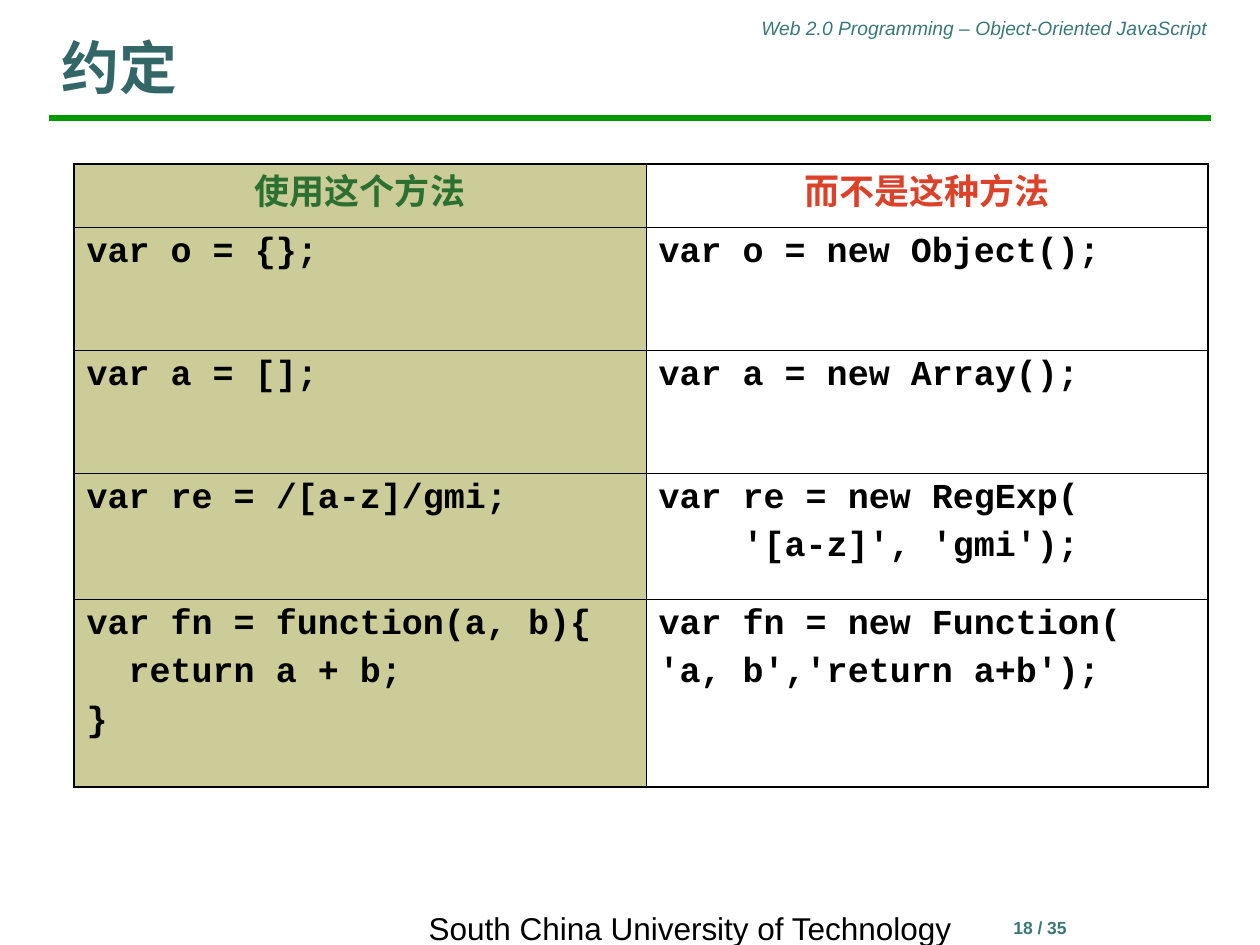
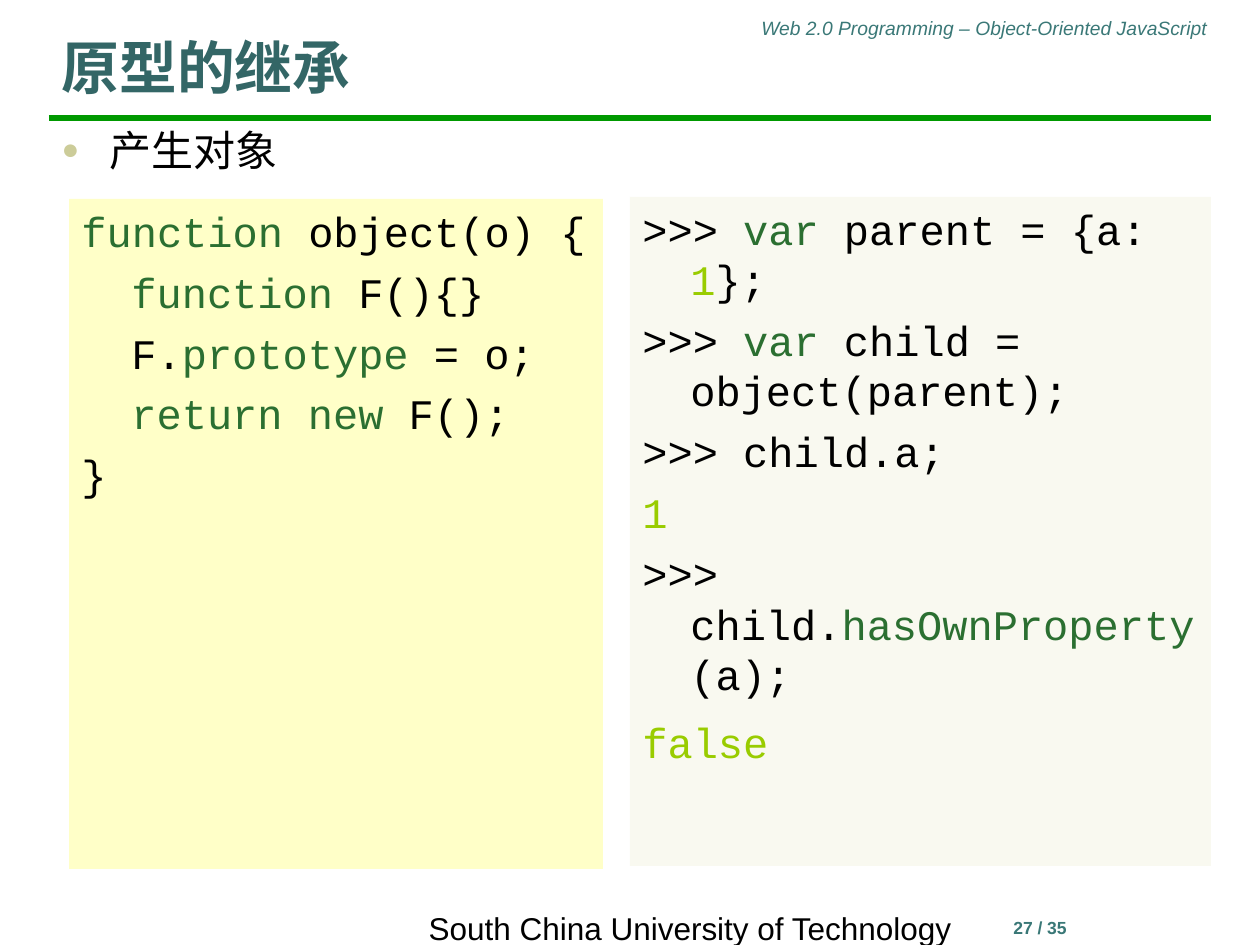
from lxml.etree import SubElement
from pptx import Presentation
from pptx.dml.color import RGBColor
from pptx.enum.shapes import MSO_CONNECTOR, MSO_SHAPE
from pptx.enum.text import MSO_ANCHOR, MSO_AUTO_SIZE, PP_ALIGN
from pptx.oxml.ns import qn
from pptx.util import Emu, Pt

EMU_PER_PX = 914400 / 126
SLIDE_SIZE = (1260, 945)
TITLE_ONLY, TITLE_AND_BODY = 5, 1
HANGING = 48
CODE_INDENT = 50
TABLE_CHARACTER = 21

HEADING_FONT, TEXT_FONT, CODE_FONT = "Montserrat", "Arial", "Courier New"
COLORS = {
    "title": "336666",
    "caption": "3A7877",
    "rule": "009900",
    "text": "000000",
    "keyword": "2B6F31",
    "value": "99CC00",
    "warning": "DC422A",
    "khaki": "CCCC99",
    "yellow": "FFFFC8",
    "ivory": "F9F9F0",
}

COLUMN_WIDTHS = (572, 562)
ROW_HEIGHTS = (63, 123, 123, 126, 188)
COLUMN_HEADINGS = (("使用这个方法", "keyword"), ("而不是这种方法", "warning"))
CODE_ROWS = (
    ([("var o = {};", 0)], [("var o = new Object();", 0)]),
    ([("var a = [];", 0)], [("var a = new Array();", 0)]),
    (
        [("var re = /[a-z]/gmi;", 0)],
        [("var re = new RegExp(", 0), ("'[a-z]', 'gmi');", 4)],
    ),
    (
        [("var fn = function(a, b){", 0), ("return a + b;", 2), ("}", 0)],
        [("var fn = new Function(", 0), ("'a, b','return a+b');", 0)],
    ),
)

FUNCTION_CODE = (
    (0, [("function", "keyword"), (" object(o) {", "text")]),
    (CODE_INDENT, [("function", "keyword"), (" F(){}", "text")]),
    (CODE_INDENT, [("F.", "text"), ("prototype", "keyword"), (" = o;", "text")]),
    (CODE_INDENT, [("return new", "keyword"), (" F();", "text")]),
    (0, [("}", "text")]),
)
CONSOLE_CODE = (
    (0, [(">>> ", "text"), ("var", "keyword"), (" parent = {a: ", "text"),
         ("1", "value"), ("};", "text")]),
    (0, [(">>> ", "text"), ("var", "keyword"), (" child = object(parent);", "text")]),
    (0, [(">>> child.a;", "text")]),
    (0, [("1", "value")]),
    (0, [(">>> child.", "text"), ("hasOwnProperty", "keyword"), ("(a);", "text")]),
    (0, [("false", "value")]),
)


def px(length):
    return Emu(round(length * EMU_PER_PX))


def box(*lengths):
    return [px(length) for length in lengths]


def color(name):
    return RGBColor.from_string(COLORS[name])


def format_paragraph(paragraph, size, font, color_name="text", bold=False,
                     italic=False, align=PP_ALIGN.LEFT, before=0):
    paragraph.alignment = align
    paragraph.space_before = Pt(before)
    paragraph.font.size = Pt(size)
    paragraph.font.bold = bold
    paragraph.font.italic = italic
    paragraph.font.color.rgb = color(color_name)
    paragraph.font.name = font
    properties = paragraph._p.pPr.find(qn("a:defRPr"))
    SubElement(properties, qn("a:ea")).set("typeface", font)


def indent_paragraph(paragraph, left, first=0):
    properties = paragraph._p.get_or_add_pPr()
    properties.set("marL", str(px(left)))
    properties.set("indent", str(px(first)))


def next_paragraph(text_frame, index):
    return text_frame.add_paragraph() if index else text_frame.paragraphs[0]


def add_label(slide, bounds, text, size, anchor=MSO_ANCHOR.TOP, **style):
    text_frame = slide.shapes.add_textbox(*box(*bounds)).text_frame
    text_frame.word_wrap = True
    text_frame.vertical_anchor = anchor
    text_frame.text = text
    format_paragraph(text_frame.paragraphs[0], size, TEXT_FONT, **style)


def add_rule(slide):
    rule = slide.shapes.add_connector(MSO_CONNECTOR.STRAIGHT, *box(49, 118, 1211, 118))
    rule.line.color.rgb = color("rule")
    rule.line.width = Pt(3)
    SubElement(rule._element.spPr, qn("a:effectLst"))


def fill_placeholder(placeholder, bounds, text, anchor):
    placeholder.left, placeholder.top, placeholder.width, placeholder.height = box(*bounds)
    text_frame = placeholder.text_frame
    text_frame.auto_size = MSO_AUTO_SIZE.NONE
    text_frame.vertical_anchor = anchor
    text_frame.text = text
    return text_frame.paragraphs[0]


def add_page(presentation, layout, title, number):
    slide = presentation.slides.add_slide(presentation.slide_layouts[layout])
    add_rule(slide)
    add_label(slide, (610, 10, 610, 36), "Web 2.0 Programming – Object-Oriented JavaScript",
              11, color_name="caption", italic=True, align=PP_ALIGN.RIGHT)
    add_label(slide, (898, 911, 284, 63), f"{number} / 35", 10,
              color_name="caption", bold=True, align=PP_ALIGN.CENTER)
    add_label(slide, (402, 911, 576, 34), "South China University of Technology", 18,
              anchor=MSO_ANCHOR.MIDDLE, align=PP_ALIGN.CENTER)
    paragraph = fill_placeholder(slide.shapes.title, (49, 19, 1162, 88), title,
                                 MSO_ANCHOR.BOTTOM)
    format_paragraph(paragraph, 33, HEADING_FONT, "title", bold=True)
    return slide


def add_bullet(slide, text):
    paragraph = fill_placeholder(slide.placeholders[1], (49, 118, 1162, 108), text,
                                 MSO_ANCHOR.TOP)
    indent_paragraph(paragraph, HANGING, -HANGING)
    properties = paragraph._p.pPr
    bullet_color = SubElement(properties, qn("a:buClr"))
    SubElement(bullet_color, qn("a:srgbClr")).set("val", COLORS["khaki"])
    SubElement(properties, qn("a:buSzPct")).set("val", "70000")
    SubElement(properties, qn("a:buFont")).set("typeface", TEXT_FONT)
    SubElement(properties, qn("a:buChar")).set("char", "●")
    format_paragraph(paragraph, 24, TEXT_FONT, before=6)


def set_borders(cell, outer_sides):
    properties = cell._tc.get_or_add_tcPr()
    for side in "LRTB":
        width = Pt(1.08 if side in outer_sides else 0.45)
        line = SubElement(properties, qn(f"a:ln{side}"), w=str(width))
        fill = SubElement(line, qn("a:solidFill"))
        SubElement(fill, qn("a:srgbClr")).set("val", COLORS["text"])


def style_cell(cell, row, column):
    outer_sides = "LR"[column]
    if row == 0:
        outer_sides += "T"
    if row == len(ROW_HEIGHTS) - 1:
        outer_sides += "B"
    set_borders(cell, outer_sides)
    if column == 0:
        cell.fill.solid()
        cell.fill.fore_color.rgb = color("khaki")
    else:
        cell.fill.background()


def add_comparison_table(slide):
    bounds = box(74, 164, sum(COLUMN_WIDTHS), sum(ROW_HEIGHTS))
    table = slide.shapes.add_table(len(ROW_HEIGHTS), len(COLUMN_WIDTHS), *bounds).table
    table.first_row = table.horz_banding = False
    for column, width in zip(table.columns, COLUMN_WIDTHS):
        column.width = px(width)
    for row, height in zip(table.rows, ROW_HEIGHTS):
        row.height = px(height)
    for column, (heading, color_name) in enumerate(COLUMN_HEADINGS):
        cell = table.cell(0, column)
        style_cell(cell, 0, column)
        cell.text = heading
        format_paragraph(cell.text_frame.paragraphs[0], 20, HEADING_FONT, color_name,
                         bold=True, align=PP_ALIGN.CENTER, before=5)
    for row, code_cells in enumerate(CODE_ROWS, start=1):
        for column, code_lines in enumerate(code_cells):
            cell = table.cell(row, column)
            style_cell(cell, row, column)
            for index, (text, characters) in enumerate(code_lines):
                paragraph = next_paragraph(cell.text_frame, index)
                paragraph.text = text
                indent_paragraph(paragraph, characters * TABLE_CHARACTER)
                format_paragraph(paragraph, 20, CODE_FONT, bold=True, before=5)


def add_code_panel(slide, bounds, fill_name, code_lines):
    panel = slide.shapes.add_shape(MSO_SHAPE.RECTANGLE, *box(*bounds))
    panel.shadow.inherit = False
    panel.fill.solid()
    panel.fill.fore_color.rgb = color(fill_name)
    panel.line.fill.background()
    text_frame = panel.text_frame
    text_frame.word_wrap = True
    text_frame.vertical_anchor = MSO_ANCHOR.TOP
    for index, (left, runs) in enumerate(code_lines):
        paragraph = next_paragraph(text_frame, index)
        indent_paragraph(paragraph, left or HANGING, 0 if left else -HANGING)
        format_paragraph(paragraph, 24, CODE_FONT, before=6)
        for text, color_name in runs:
            run = paragraph.add_run()
            run.text = text
            run.font.color.rgb = color(color_name)
    return panel


def main():
    presentation = Presentation()
    presentation.slide_width, presentation.slide_height = box(*SLIDE_SIZE)

    conventions = add_page(presentation, TITLE_ONLY, "约定", 18)
    add_comparison_table(conventions)

    inheritance = add_page(presentation, TITLE_AND_BODY, "原型的继承", 27)
    add_code_panel(inheritance, (69, 199, 534, 670), "yellow", FUNCTION_CODE)
    console = add_code_panel(inheritance, (630, 197, 581, 669), "ivory", CONSOLE_CODE)
    console.text_frame.paragraphs[-1].space_before = Pt(10)
    add_bullet(inheritance, "产生对象")

    presentation.save("out.pptx")


if __name__ == "__main__":
    main()
